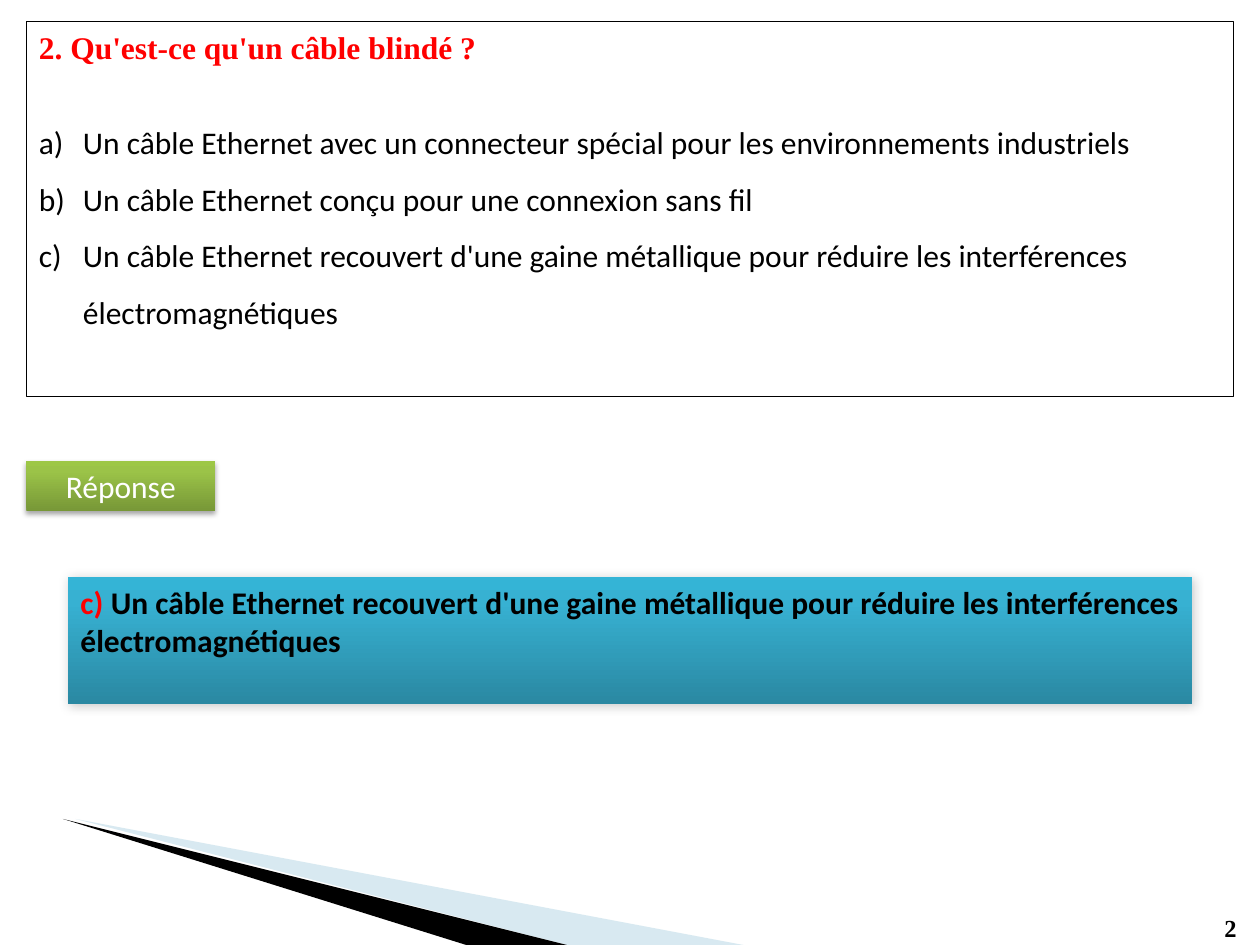
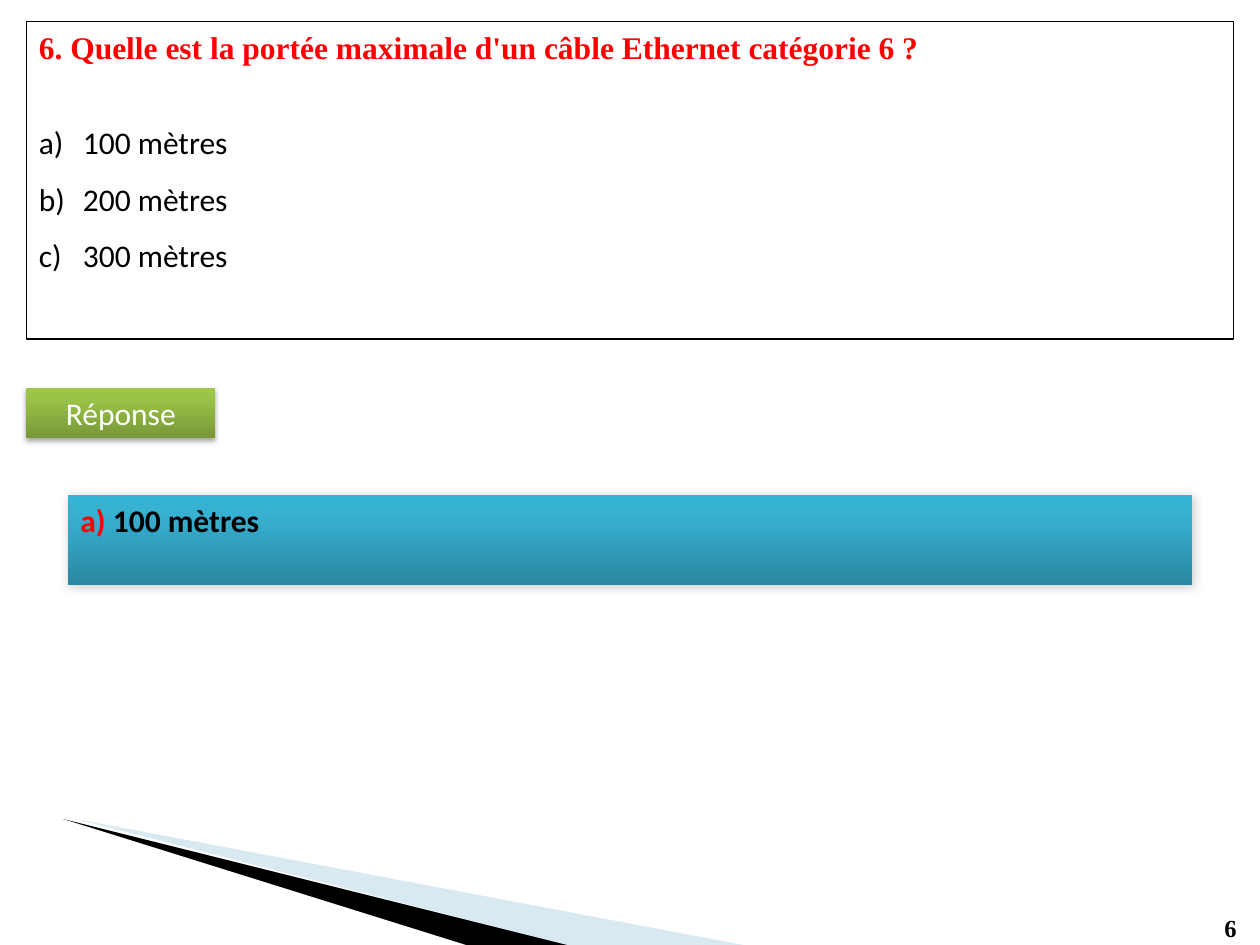
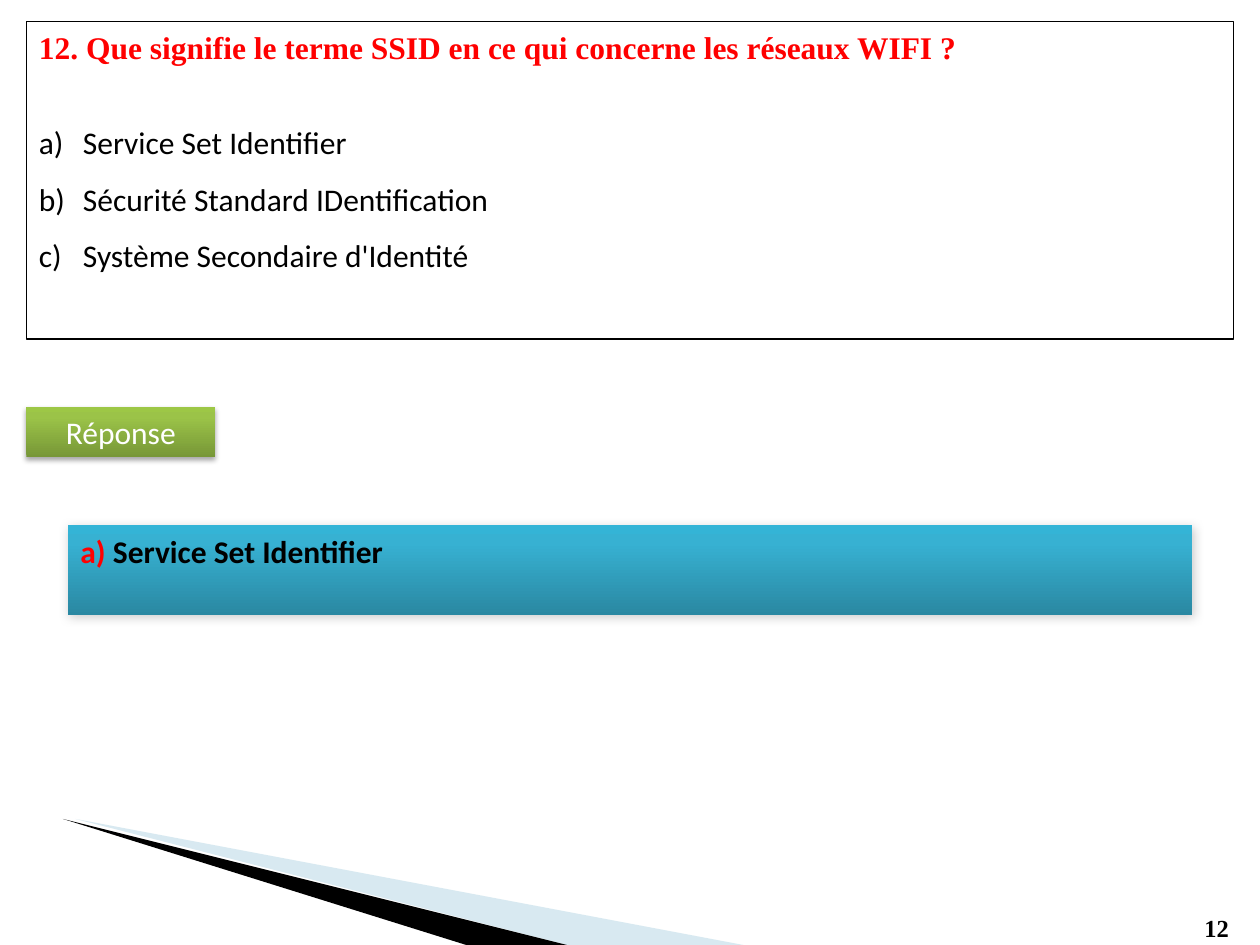
"""Build three quiz slides on network cabling, each with a question and its answer."""
from copy import deepcopy

from lxml.etree import SubElement
from pptx import Presentation
from pptx.dml.color import RGBColor
from pptx.enum.shapes import MSO_SHAPE as Shape
from pptx.enum.text import MSO_ANCHOR as Anchor, PP_ALIGN as Align
from pptx.oxml.ns import qn
from pptx.util import Inches, Pt

BLACK = RGBColor(0x00, 0x00, 0x00)
WHITE = RGBColor(0xFF, 0xFF, 0xFF)
RED = RGBColor(0xFF, 0x00, 0x00)
PALE_BLUE = RGBColor(0x9F, 0xCA, 0xDC)
GREENS = [RGBColor(0x77, 0x97, 0x37), RGBColor(0x9B, 0xC3, 0x48), RGBColor(0x9D, 0xC7, 0x46)]
BLUES = [RGBColor(0x2A, 0x88, 0xA2), RGBColor(0x37, 0xB1, 0xD2), RGBColor(0x34, 0xB4, 0xD6)]
STOP_POSITIONS = [0, 0.8, 1]
LABEL_SHADOW = {"blur": 3.1, "distance": 1.8, "angle": 90, "opacity": 35}
ANSWER_SHADOW = {"blur": 6, "distance": 1, "angle": 45, "opacity": 20}

deck = Presentation()
deck.slide_width, deck.slide_height = Inches(10), Inches(7.5)
COLUMN = deck.slide_width / 100
ROW = deck.slide_height / 75

WEDGES = [
    (PALE_BLUE, 40, [[(6.4, 65.3), (45.1, 75), (58.9, 75)],
                     [(5.5, 65), (5.5, 65.1), (6.4, 65.3)]]),
    (BLACK, 100, [[(5.3, 65), (5.4, 65), (36.7, 75), (45.3, 75)]]),
]

QUESTIONS = [
    {"number": "2", "title": "2. Qu'est-ce qu'un câble blindé ?",
     "options": ["Un câble Ethernet avec un connecteur spécial pour les environnements industriels",
                 "Un câble Ethernet conçu pour une connexion sans fil",
                 "Un câble Ethernet recouvert d'une gaine métallique pour réduire les "
                 "interférences électromagnétiques"],
     "correct": 2, "height": 29.8, "label_top": 36.6, "answer_top": 45.8, "answer_height": 10.1},
    {"number": "6", "title": "6. Quelle est la portée maximale d'un câble Ethernet catégorie 6 ?",
     "options": ["100 mètres", "200 mètres", "300 mètres"],
     "correct": 0, "height": 25.2, "label_top": 30.8, "answer_top": 39.3, "answer_height": 7.1},
    {"number": "12", "title": "12. Que signifie le terme SSID en ce qui concerne les réseaux WIFI ?",
     "options": ["Service Set Identifier", "Sécurité Standard IDentification",
                 "Système Secondaire d'Identité"],
     "correct": 0, "height": 25.2, "label_top": 32.3, "answer_top": 41.7, "answer_height": 7.1},
]


def write(para, text, font="Calibri", size=18, color=BLACK, bold=False, align=Align.LEFT):
    """Add a formatted run to a paragraph."""
    para.alignment = align
    span = para.add_run()
    span.text = text
    span.font.name, span.font.size, span.font.bold = font, Pt(size), bold
    span.font.color.rgb = color


def add_panel(page, left, top, width, height, colors=None, shadow=None):
    """Add a rectangle, outlined or with a gradient and shadow, and return its text frame."""
    box = page.shapes.add_shape(Shape.RECTANGLE, int(left * COLUMN), int(top * ROW),
                                int(width * COLUMN), int(height * ROW))
    box.shadow.inherit = False
    if colors:
        box.fill.gradient()
        box.fill.gradient_angle = 90
        stop_list = box._element.spPr.find(".//" + qn("a:gsLst"))
        stop_list.append(deepcopy(stop_list[-1]))
        for stop, color, position in zip(box.fill.gradient_stops, colors, STOP_POSITIONS):
            stop.color.rgb, stop.position = color, position
        box.line.fill.background()
        effects = box._element.spPr.find(qn("a:effectLst"))
        outer = SubElement(effects, qn("a:outerShdw"), blurRad=str(Pt(shadow["blur"])),
                           dist=str(Pt(shadow["distance"])), dir=str(shadow["angle"] * 60000),
                           rotWithShape="0")
        shade = SubElement(outer, qn("a:srgbClr"), val=str(BLACK))
        SubElement(shade, qn("a:alpha"), val=str(shadow["opacity"] * 1000))
    else:
        box.fill.background()
        box.line.color.rgb, box.line.width = BLACK, Pt(0.75)
    box.text_frame.word_wrap = True
    box.text_frame.vertical_anchor = Anchor.TOP
    return box.text_frame


for question in QUESTIONS:
    page = deck.slides.add_slide(deck.slide_layouts[6])

    for color, opacity, outlines in WEDGES:
        builder = page.shapes.build_freeform(*outlines[0][0], scale=COLUMN)
        builder.add_line_segments(outlines[0][1:])
        for outline in outlines[1:]:
            builder.move_to(*outline[0])
            builder.add_line_segments(outline[1:])
        wedge = builder.convert_to_shape()
        wedge.shadow.inherit = False
        wedge.fill.solid()
        wedge.fill.fore_color.rgb = color
        wedge.line.fill.background()
        if opacity < 100:
            tint = wedge._element.spPr.find(qn("a:solidFill"))[0]
            SubElement(tint, qn("a:alpha"), val=str(opacity * 1000))

    number_width = 2 + 1.6 * len(question["number"])
    number_box = page.shapes.add_textbox(int((99.8 - number_width) * COLUMN), int(72 * ROW),
                                         int(number_width * COLUMN), int(3 * ROW))
    number_box.text_frame.word_wrap = True
    write(number_box.text_frame.paragraphs[0], question["number"],
          font="Times New Roman", size=14, bold=True)

    frame = add_panel(page, 2.1, 1.7, 95.8, question["height"])
    title = frame.paragraphs[0]
    title.space_after = Pt(22)
    write(title, question["title"], font="Times New Roman", color=RED, bold=True)
    for option in question["options"]:
        para = frame.add_paragraph()
        properties = para._p.get_or_add_pPr()
        properties.set("marL", str(Inches(0.35)))
        properties.set("indent", str(-Inches(0.35)))
        SubElement(properties, qn("a:buAutoNum"), type="alphaLcParenR")
        para.line_spacing = 1.5
        write(para, option)

    label = add_panel(page, 2.1, question["label_top"], 15, 4, GREENS, LABEL_SHADOW)
    write(label.paragraphs[0], "Réponse", color=WHITE, align=Align.CENTER)

    answer = add_panel(page, 5.4, question["answer_top"], 89.2, question["answer_height"],
                       BLUES, ANSWER_SHADOW).paragraphs[0]
    write(answer, "abc"[question["correct"]] + ") ", color=RED, bold=True, align=Align.JUSTIFY)
    write(answer, question["options"][question["correct"]], bold=True, align=Align.JUSTIFY)

deck.save("out.pptx")
